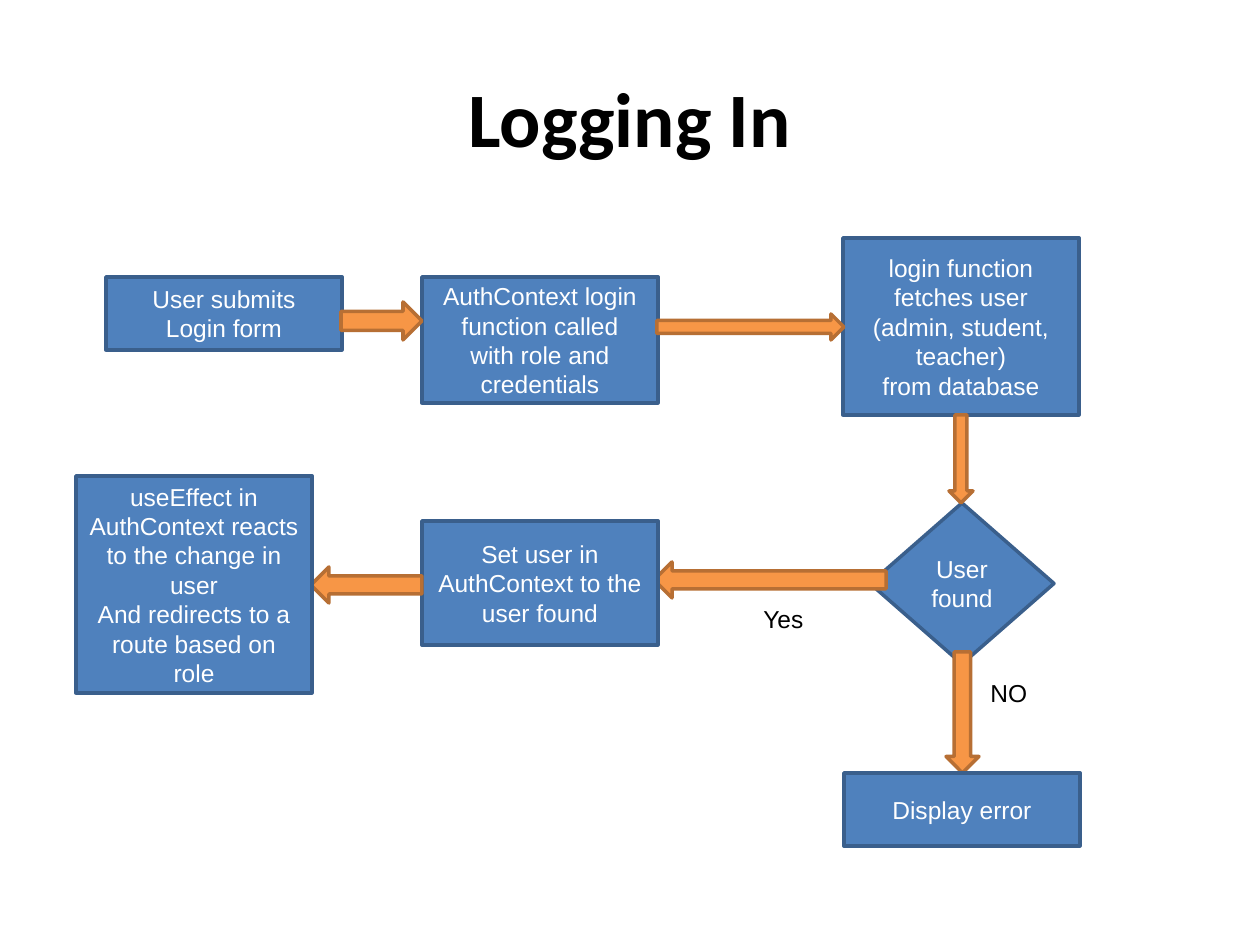
from pptx import Presentation
from pptx.dml.color import RGBColor
from pptx.enum.shapes import MSO_SHAPE as SHAPE
from pptx.enum.text import MSO_ANCHOR as ANCHOR, PP_ALIGN as ALIGN, MSO_AUTO_SIZE as AUTO_SIZE
from pptx.util import Inches, Pt

PX = Inches(1) / 126
BLUE = RGBColor(0x4F, 0x81, 0xBD)
DARK_BLUE = RGBColor(0x3A, 0x5F, 0x8C)
ORANGE = RGBColor(0xF7, 0x96, 0x46)
DARK_ORANGE = RGBColor(0xB7, 0x6F, 0x34)
WHITE = RGBColor(0xFF, 0xFF, 0xFF)
BLACK = RGBColor(0, 0, 0)
STEP_WIDTH = 236


def emu(*lengths):
    return [round(length * PX) for length in lengths]


def write(frame, text, size=14, font="Arial", color=WHITE, bold=False,
          align=ALIGN.CENTER, anchor=ANCHOR.MIDDLE, wrap=True):
    frame.word_wrap = wrap
    frame.vertical_anchor = anchor
    frame.text = text
    for paragraph in frame.paragraphs:
        paragraph.alignment = align
        paragraph.font.size = Pt(size)
        paragraph.font.name = font
        paragraph.font.bold = bold
        paragraph.font.color.rgb = color


prs = Presentation()
prs.slide_width, prs.slide_height = emu(1260, 945)
slide = prs.slides.add_slide(prs.slide_layouts[5])

# Title
title = slide.shapes.title
title.left, title.top, title.width, title.height = emu(63, 38, 1134, 158)
write(title.text_frame, "Logging In", size=44, font="Calibri", color=BLACK, bold=True)

# Flow from back to front: steps carry text, arrows do not
flow = [
    (SHAPE.RECTANGLE, 106, 277, STEP_WIDTH, 73, "User submits\nLogin form"),
    (SHAPE.RECTANGLE, 422, 277, STEP_WIDTH, 126,
     "AuthContext login\nfunction called\nwith role and credentials"),
    (SHAPE.RECTANGLE, 843, 238, STEP_WIDTH, 177,
     "login function\nfetches user (admin, student, teacher)\nfrom database"),
    (SHAPE.FLOWCHART_DECISION, 870, 503, 184, 161, "User\nfound"),
    (SHAPE.RIGHT_ARROW, 341, 302, 81, 38, ""),
    (SHAPE.RIGHT_ARROW, 657, 314, 187, 26, ""),
    (SHAPE.DOWN_ARROW, 949, 415, 24, 88, ""),
    (SHAPE.DOWN_ARROW, 946, 652, 33, 121, ""),
    (SHAPE.LEFT_ARROW, 654, 562, 232, 36, ""),
    (SHAPE.RECTANGLE, 844, 773, STEP_WIDTH, 73, "Display error"),
    (SHAPE.RECTANGLE, 422, 521, STEP_WIDTH, 124, "Set user in AuthContext to the user found"),
    (SHAPE.LEFT_ARROW, 311, 567, 111, 36, ""),
    (SHAPE.RECTANGLE, 76, 476, STEP_WIDTH, 217,
     "useEffect in AuthContext reacts to the change in user\n"
     "And redirects to a route based on role"),
]
for kind, left, top, width, height, wording in flow:
    part = slide.shapes.add_shape(kind, *emu(left, top, width, height))
    part.shadow.inherit = False
    part.fill.solid()
    part.fill.fore_color.rgb = BLUE if wording else ORANGE
    part.line.color.rgb = DARK_BLUE if wording else DARK_ORANGE
    part.line.width = Pt(2)
    if wording:
        write(part.text_frame, wording)

# Answers beside the decision
for answer, left, top, width in [("NO", 978, 672, 63), ("Yes", 751, 598, 68)]:
    label = slide.shapes.add_textbox(*emu(left, top, width, 43))
    write(label.text_frame, answer, color=BLACK, align=ALIGN.LEFT,
          anchor=ANCHOR.TOP, wrap=False)
    label.text_frame.auto_size = AUTO_SIZE.SHAPE_TO_FIT_TEXT

prs.save("out.pptx")
